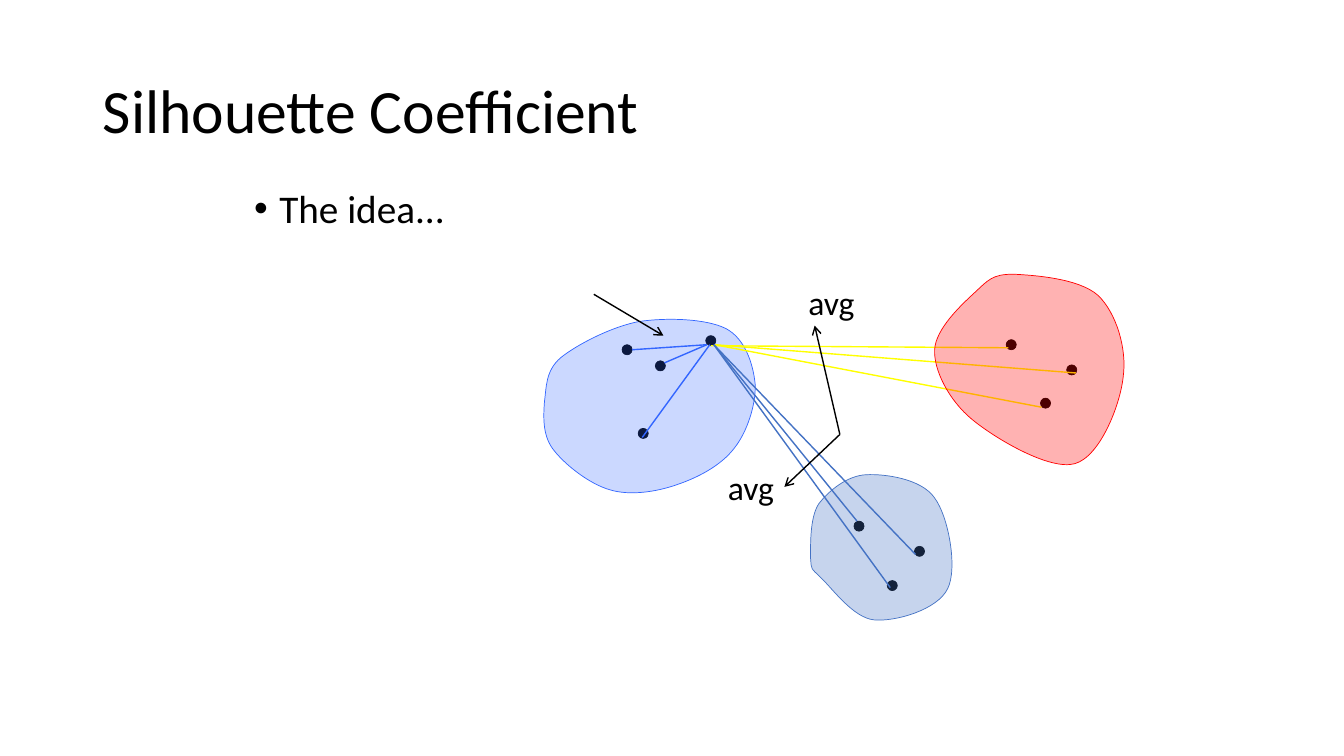
from lxml import etree
from pptx import Presentation
from pptx import util as u
from pptx.dml.color import RGBColor
from pptx.enum import shapes, text
from pptx.oxml import ns

COLORS = {"ink": "000000", "own": "3366FF", "far": "FF0000",
          "near": "4472C4", "far_link": "FFFF00"}
FONT = "Calibri"
DOT = 0.1

# Points are offsets from the top left of the box. An outline is a start
# point followed by three points for each Bézier curve.
CLUSTERS = [
    {"box": (5.38, 3.15), "color": "own", "opacity": 25,
     "dots": [(0.79, 0.27), (1.62, 0.18), (1.12, 0.43), (0.95, 1.1)],
     "outline": [(0.18, 0.4),
                 (0.34, 0.27), (0.69, 0.09), (0.96, 0.04),
                 (1.23, 0), (1.62, 0.01), (1.82, 0.11),
                 (2.01, 0.21), (2.09, 0.46), (2.11, 0.66),
                 (2.12, 0.86), (2.03, 1.14), (1.9, 1.3),
                 (1.77, 1.47), (1.54, 1.59), (1.33, 1.66),
                 (1.13, 1.73), (0.87, 1.77), (0.67, 1.71),
                 (0.46, 1.65), (0.21, 1.45), (0.1, 1.3),
                 (0, 1.16), (0.01, 0.98), (0.02, 0.84),
                 (0.04, 0.69), (0.03, 0.53), (0.18, 0.4)],
     "links": [((1.66, 0.27), (0.99, 1.19)), ((1.63, 0.27), (1.21, 0.45)),
               ((1.63, 0.27), (0.89, 0.32))]},
    {"box": (9.26, 2.72), "color": "far", "opacity": 30,
     "link_color": "far_link", "links_behind": True,
     "dots": [(0.72, 0.65), (1.06, 1.23), (1.32, 0.9)],
     "outline": [(0.41, 0.18),
                 (0.54, 0.06), (0.58, 0), (0.79, 0),
                 (0.99, 0.01), (1.44, 0.04), (1.63, 0.21),
                 (1.81, 0.38), (1.92, 0.74), (1.88, 1.02),
                 (1.85, 1.3), (1.65, 1.81), (1.4, 1.88),
                 (1.15, 1.95), (0.61, 1.63), (0.38, 1.44),
                 (0.15, 1.25), (0, 0.95), (0.01, 0.75),
                 (0.02, 0.54), (0.28, 0.3), (0.41, 0.18)],
     "links": [((0.74, 0.73), (-2.21, 0.71)), ((1.41, 0.98), (-2.17, 0.7)),
               ((1.07, 1.32), (-2.17, 0.7))]},
    {"box": (8.03, 4.7), "color": "near", "opacity": 30,
     "dots": [(0.44, 0.47), (0.77, 1.06), (1.04, 0.72)],
     "outline": [(0.09, 0.3),
                 (0.19, 0.17), (0.37, 0.02), (0.56, 0.01),
                 (0.75, 0), (1.11, 0.05), (1.24, 0.24),
                 (1.38, 0.43), (1.47, 0.94), (1.37, 1.14),
                 (1.27, 1.35), (0.85, 1.47), (0.64, 1.45),
                 (0.43, 1.43), (0.22, 1.13), (0.11, 1.03),
                 (0.01, 0.93), (0.02, 0.96), (0.01, 0.84),
                 (0.01, 0.72), (0, 0.44), (0.09, 0.3)],
     "links": [((-0.95, -1.28), end)
               for end in [(0.47, 0.47), (1.05, 0.8), (0.8, 1.13)]]},
]
AVERAGE_LABELS = [(7.92, 2.75, 0.66, 0.5), (7.12, 4.58, 0.66, 0.5)]
ARROWS = [((5.89, 2.92), (6.58, 3.33)), ((8.33, 4.31), (8.08, 3.23)),
          ((8.33, 4.31), (7.78, 4.83))]


def rgb(name):
    return RGBColor.from_string(COLORS[name])


def inches(values):
    return [u.Inches(value) for value in values]


def shifted(box, point):
    return box[0] + point[0], box[1] + point[1]


def write(holder, box, words, size, paragraph_format, **frame_format):
    """Place a text holder and fill it with one formatted paragraph."""
    holder.left, holder.top, holder.width, holder.height = inches(box)
    frame = holder.text_frame
    for key, value in frame_format.items():
        setattr(frame, key, value)
    paragraph = frame.paragraphs[0]
    paragraph.text = words
    for key, value in paragraph_format.items():
        setattr(paragraph, key, value)
    font_format = {"name": FONT, "size": u.Pt(size), "bold": False}
    for key, value in font_format.items():
        setattr(paragraph.font, key, value)
    paragraph.font.color.rgb = rgb("ink")
    return paragraph


def paint(shape, color):
    shape.shadow.inherit = False
    shape.fill.solid()
    shape.fill.fore_color.rgb = rgb(color)
    shape.line.color.rgb = rgb(color)
    shape.line.width = u.Pt(0.5)


def add_line(slide, start, end, color, arrow=False):
    line = slide.shapes.add_connector(
        shapes.MSO_CONNECTOR.STRAIGHT, *inches(start + end))
    line.line.color.rgb = rgb(color)
    line.line.width = u.Pt(1)
    if arrow:
        etree.SubElement(line.line._get_or_add_ln(), ns.qn("a:tailEnd"),
                         type="arrow")
    etree.SubElement(line._element.spPr, ns.qn("a:effectLst"))


def add_blob(slide, box, outline, color, opacity):
    """Draw a translucent closed outline of Bézier curves."""
    start, *curve_points = [inches(shifted(box, point)) for point in outline]
    builder = slide.shapes.build_freeform(*start)
    builder.add_line_segments(curve_points, close=True)
    blob = builder.convert_to_shape()
    steps = list(blob._element.iter(ns.qn("a:lnTo")))[:len(curve_points)]
    for first in range(0, len(steps), 3):
        curve = etree.Element(ns.qn("a:cubicBezTo"))
        steps[first].addprevious(curve)
        for step in steps[first:first + 3]:
            curve.append(step[0])
            step.getparent().remove(step)
    paint(blob, color)
    tint = blob._element.spPr.find(ns.qn("a:solidFill"))[0]
    etree.SubElement(tint, ns.qn("a:alpha"), val=str(opacity * 1000))


def add_cluster(slide, box, color, opacity, dots, outline, links,
                link_color=None, links_behind=False):
    for dot in dots:
        paint(slide.shapes.add_shape(
            shapes.MSO_SHAPE.OVAL,
            *inches(shifted(box, dot) + (DOT, DOT))), "ink")
    if not links_behind:
        add_blob(slide, box, outline, color, opacity)
    for start, end in links:
        add_line(slide, shifted(box, start), shifted(box, end),
                 link_color or color)
    if links_behind:
        add_blob(slide, box, outline, color, opacity)


def add_heading(slide, title_box, body_box):
    paragraph_format = {"alignment": text.PP_ALIGN.LEFT, "line_spacing": 0.9,
                        "space_before": u.Pt(0)}
    title, body = slide.placeholders
    write(title, title_box, "Silhouette Coefficient", 44, paragraph_format,
          vertical_anchor=text.MSO_ANCHOR.MIDDLE,
          auto_size=text.MSO_AUTO_SIZE.NONE)
    idea = write(body, body_box, "The idea...", 28, paragraph_format,
                 vertical_anchor=text.MSO_ANCHOR.TOP,
                 auto_size=text.MSO_AUTO_SIZE.NONE)
    properties = idea._p.get_or_add_pPr()
    properties.set("marL", str(u.Inches(0.25)))
    properties.set("indent", str(-u.Inches(0.25)))
    bullet_font = etree.Element(ns.qn("a:buFont"), typeface="Arial")
    bullet = etree.Element(ns.qn("a:buChar"), char="•")
    # Bullet elements stand before the default run properties.
    run_defaults = properties.find(ns.qn("a:defRPr"))
    run_defaults.addprevious(bullet_font)
    run_defaults.addprevious(bullet)


def add_averages(slide, label_boxes, arrows):
    for box in label_boxes:
        label = slide.shapes.add_textbox(*inches(box))
        write(label, box, "avg", 24, {}, word_wrap=False,
              auto_size=text.MSO_AUTO_SIZE.SHAPE_TO_FIT_TEXT)
    for start, end in arrows:
        add_line(slide, start, end, "ink", arrow=True)


def main():
    deck = Presentation()
    deck.slide_width, deck.slide_height = inches((13.33, 7.5))
    slide = deck.slides.add_slide(deck.slide_layouts[1])
    add_heading(slide, (0.92, 0.4, 11.5, 1.45), (2.42, 1.83, 8.67, 0.92))
    for cluster in CLUSTERS:
        add_cluster(slide, **cluster)
    add_averages(slide, AVERAGE_LABELS, ARROWS)
    deck.save("out.pptx")


if __name__ == "__main__":
    main()
